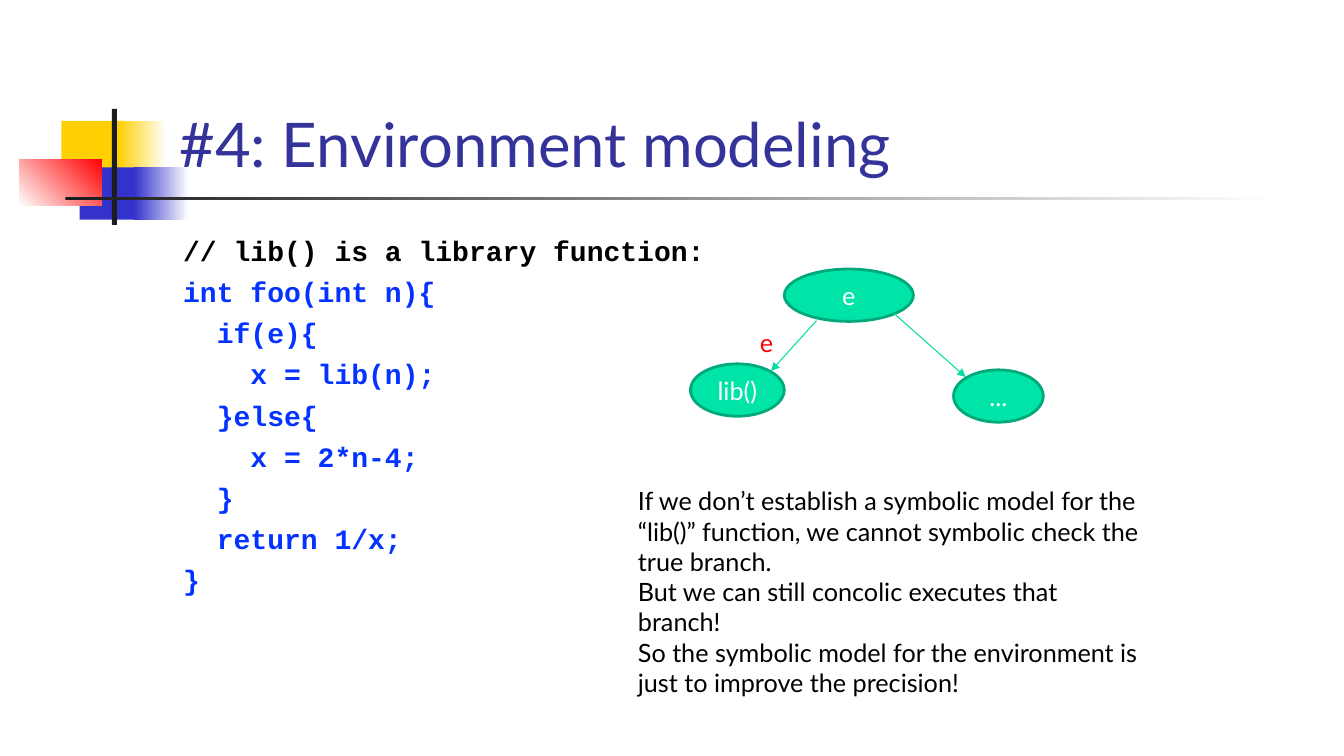
from dataclasses import dataclass

from lxml.etree import SubElement
from pptx import Presentation
from pptx.dml.color import RGBColor
from pptx.enum.shapes import MSO_CONNECTOR, MSO_SHAPE
from pptx.enum.text import MSO_ANCHOR, PP_ALIGN
from pptx.oxml.ns import qn
from pptx.util import Pt


@dataclass(frozen=True)
class Theme:
    body_font: str = "Lato"
    code_font: str = "Courier New"
    title_size: int = 44
    code_size: int = 20
    body_size: int = 18
    title: str = "333399"
    text: str = "000000"
    code: str = "0432FF"
    label: str = "FF0000"
    white: str = "FFFFFF"
    gold: str = "FFCF01"
    blue: str = "3333CC"
    red: str = "FF0000"
    ink: str = "1C1C1C"
    node: str = "00E4A8"
    node_edge: str = "00A97C"
    arrow: str = "00DFA4"


THEME = Theme()

TITLE = "#4: Environment modeling"
CODE_COMMENT = "// lib() is a library function:"
CODE = [
    "int foo(int n){",
    "  if(e){",
    "    x = lib(n);",
    "  }else{",
    "    x = 2*n-4;",
    "  }",
    "  return 1/x;",
    "}",
]
REMARKS = [
    "If we don’t establish a symbolic model for the “lib()” function, "
    "we cannot symbolic check the true branch.",
    "But we can still concolic executes that branch!",
    "So the symbolic model for the environment is just to improve the precision!",
]
BRANCH_LABEL = "e"

# Boxes are left, top, width, height
ORNAMENT = [  # box, colours from start to end, gradient angle
    ((43.9, 86.4, 46.1, 37.4), [THEME.gold], 0),
    ((84.2, 86.4, 34.6, 37.4), [THEME.gold, THEME.white], 0),
    ((56.9, 119.5, 44.6, 37.4), [THEME.blue], 0),
    ((95.8, 119.5, 38.9, 37.4), [THEME.blue, THEME.white], 0),
    ((13.7, 113.8, 59, 33.1), [THEME.white, THEME.red], 45),
    ((79.9, 77.8, 3.6, 82.8), [THEME.ink], 0),
    ((46.8, 140.4, 864, 2.5), [THEME.ink, THEME.white], 0),
]
NODES = [  # text, box
    ("e", (560.2, 192.2, 92.2, 37.4)),
    ("lib()", (493.2, 259.9, 67, 37.4)),
    ("...", (681.1, 264.2, 64.1, 37.4)),
]
ARROWS = [  # start, end
    ((583.2, 229), (550.8, 265)),
    ((638.6, 223.9), (689.8, 269.3)),
]


def color(code):
    return RGBColor.from_string(code)


def style(paragraph, font_name, size, ink, bold=False):
    font = paragraph.font
    font.name, font.size, font.bold = font_name, Pt(size), bold
    font.color.rgb = color(ink)


def add_preset(slide, preset, box):
    shape = slide.shapes.add_shape(preset, *map(Pt, box))
    shape.shadow.inherit = False
    return shape


def add_ornament(slide, box, colors, angle):
    bar = add_preset(slide, MSO_SHAPE.RECTANGLE, box)
    bar.line.fill.background()
    if len(colors) == 1:
        bar.fill.solid()
        bar.fill.fore_color.rgb = color(colors[0])
        return
    bar.fill.gradient()
    bar.fill.gradient_angle = angle
    for position, (stop, code) in enumerate(zip(bar.fill.gradient_stops, colors)):
        stop.position = position
        stop.color.rgb = color(code)


def add_text(slide, box, lines, anchor=MSO_ANCHOR.TOP, gap=0):
    """Add one paragraph per (text, font name, size, colour, bold) line."""
    frame = slide.shapes.add_textbox(*map(Pt, box)).text_frame
    frame.word_wrap = True
    frame.vertical_anchor = anchor
    for index, (text, *look) in enumerate(lines):
        paragraph = frame.add_paragraph() if index else frame.paragraphs[0]
        paragraph.text = text
        style(paragraph, *look)
        if index and gap:
            paragraph.space_before = Pt(gap)


def add_node(slide, text, box):
    node = add_preset(slide, MSO_SHAPE.OVAL, box)
    node.fill.solid()
    node.fill.fore_color.rgb = color(THEME.node)
    node.line.color.rgb = color(THEME.node_edge)
    node.line.width = Pt(2)
    frame = node.text_frame
    frame.word_wrap = True
    frame.vertical_anchor = MSO_ANCHOR.MIDDLE
    paragraph = frame.paragraphs[0]
    paragraph.text = text
    paragraph.alignment = PP_ALIGN.CENTER
    style(paragraph, THEME.body_font, THEME.body_size, THEME.white)


def add_arrow(slide, start, end):
    arrow = slide.shapes.add_connector(MSO_CONNECTOR.STRAIGHT, *map(Pt, start + end))
    arrow.line.color.rgb = color(THEME.arrow)
    arrow.line.width = Pt(0.75)
    SubElement(arrow.line._get_or_add_ln(), qn("a:tailEnd"), type="triangle")
    SubElement(arrow._element.spPr, qn("a:effectLst"))


def main():
    prs = Presentation()
    prs.slide_width, prs.slide_height = Pt(960), Pt(540)
    slide = prs.slides.add_slide(prs.slide_layouts[6])

    for box, colors, angle in ORNAMENT:
        add_ornament(slide, box, colors, angle)

    add_text(slide, (121, 16.6, 818, 115.2),
             [(TITLE, THEME.body_font, THEME.title_size, THEME.title)],
             MSO_ANCHOR.BOTTOM)

    code_look = (THEME.code_font, THEME.code_size)
    listing = [(CODE_COMMENT, *code_look, THEME.text, True)]
    listing += [(line, *code_look, THEME.code, True) for line in CODE]
    add_text(slide, (123.8, 163.5, 815.8, 319.6), listing, gap=5.3)

    for text, box in NODES:
        add_node(slide, text, box)
    for start, end in ARROWS:
        add_arrow(slide, start, end)

    body_look = (THEME.body_font, THEME.body_size)
    add_text(slide, (535.7, 230.4, 64.1, 28.8),
             [(BRANCH_LABEL, *body_look, THEME.label)])
    add_text(slide, (448.6, 343.4, 376.6, 159.8),
             [(remark, *body_look, THEME.text) for remark in REMARKS])

    prs.save("out.pptx")


if __name__ == "__main__":
    main()
